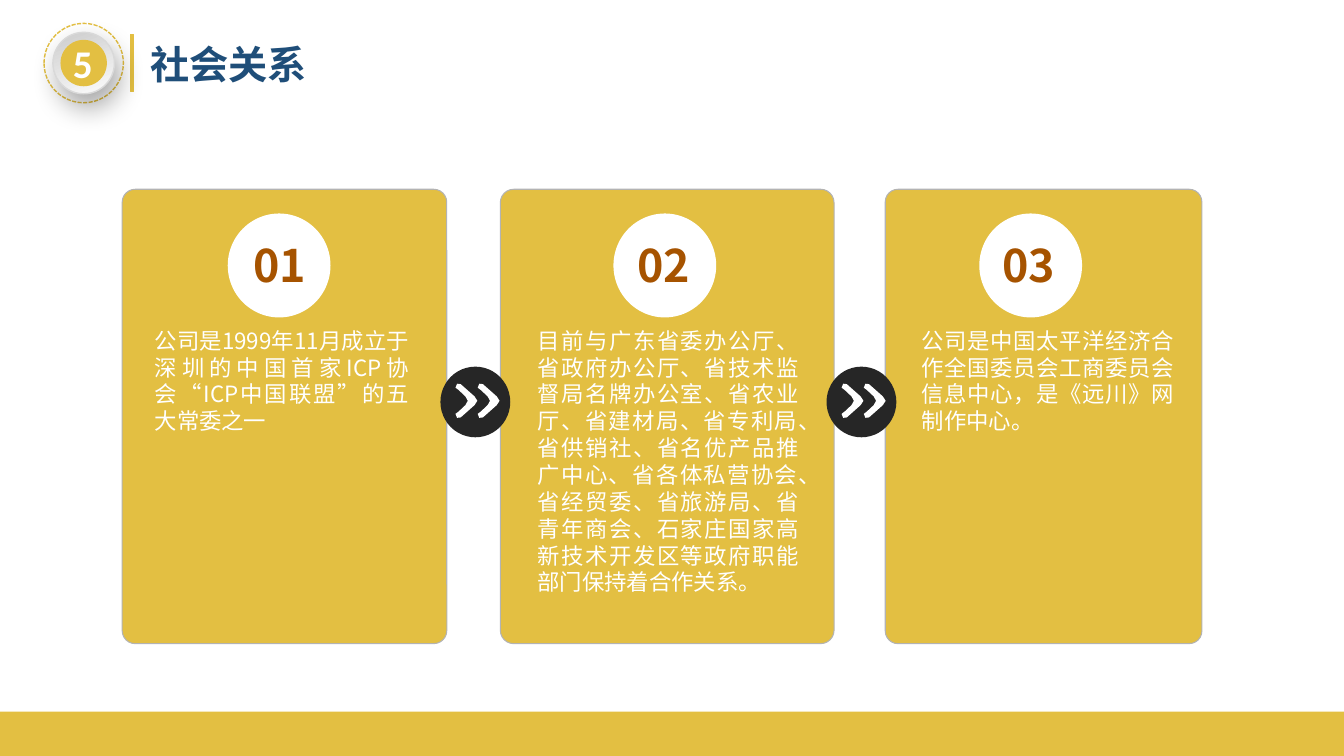
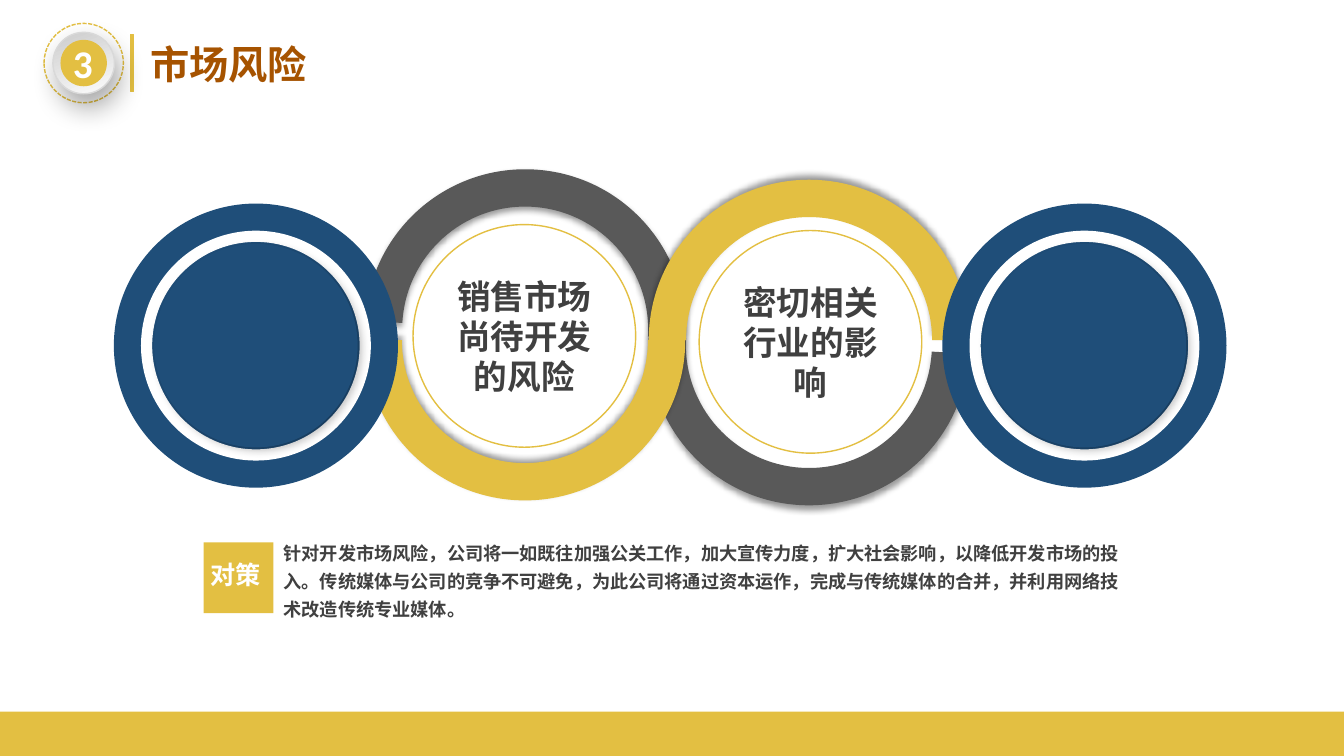
from math import cos, pi, sin

from lxml import etree
from pptx import Presentation, util as u
from pptx.dml.color import RGBColor
from pptx.enum import dml, shapes, text
from pptx.oxml.ns import qn

Cm = u.Cm


class Theme:
    gold, blue, rust = "E3BF42", "1F4E79", "A65300"
    white, ink, black, grey = "FFFFFF", "404040", "262626", "595959"
    rim, hairline = "D9D9D9", "B3B3B3"
    metal = ("CCCCCC", "FCFCFC")
    cjk, latin = "Noto Sans CJK SC", "Calibri"
    heading, number, topic, label, body, note = 28, 32, 24, 18, 16, 13
    leading = 1.19


def paint(shape, fill=None, line=None, width=1, shadow=None):
    """Set fill, outline and shadow (opacity %, blur, distance, direction)."""
    if fill:
        shape.fill.solid()
        shape.fill.fore_color.rgb = RGBColor.from_string(fill)
    else:
        shape.fill.background()
    if line:
        shape.line.color.rgb = RGBColor.from_string(line)
        shape.line.width = u.Pt(width)
    else:
        shape.line.fill.background()
    shape.shadow.inherit = False
    if shadow:
        opacity, blur, distance, direction = shadow
        effects = shape._element.spPr.find(qn("a:effectLst"))
        outer = etree.SubElement(
            effects, qn("a:outerShdw"), blurRad=str(u.Pt(blur)), dist=str(u.Pt(distance)),
            dir=str(direction * 60000), algn="ctr", rotWithShape="0")
        tint = etree.SubElement(outer, qn("a:srgbClr"), val="000000")
        etree.SubElement(tint, qn("a:alpha"), val=str(opacity * 1000))
    return shape


def write(shape, words, size, color, bold=True, font=Theme.cjk, wrap=True,
          align=text.PP_ALIGN.LEFT, anchor=text.MSO_ANCHOR.TOP, leading=None):
    """Fill a shape's text frame with one formatted run."""
    frame = shape.text_frame
    frame.word_wrap = wrap
    frame.auto_size = text.MSO_AUTO_SIZE.NONE
    frame.vertical_anchor = anchor
    paragraph = frame.paragraphs[0]
    paragraph.alignment = align
    paragraph.line_spacing = u.Pt(leading or round(size * Theme.leading, 1))
    run = paragraph.add_run()
    run.text = words
    run.font.size = u.Pt(size)
    run.font.bold = bold
    run.font.color.rgb = RGBColor.from_string(color)
    run.font.name = font
    properties = run._r.get_or_add_rPr()
    properties.set("lang", "zh-CN")
    etree.SubElement(properties, qn("a:ea"), typeface=font)
    return frame


OVAL = shapes.MSO_SHAPE.OVAL
RECTANGLE = shapes.MSO_SHAPE.RECTANGLE
ROUNDED = shapes.MSO_SHAPE.ROUNDED_RECTANGLE
CENTER, MIDDLE = text.PP_ALIGN.CENTER, text.MSO_ANCHOR.MIDDLE

prs = Presentation()
prs.slide_width, prs.slide_height = Cm(33.87), Cm(19.05)

# Shared frame: title, numbered badge, bottom band
pages = []
for section, heading, heading_color in (("5", "社会关系", Theme.blue),
                                        ("3", "市场风险", Theme.rust)):
    slide = prs.slides.add_slide(prs.slide_layouts[5])
    canvas = slide.shapes
    pages.append(canvas)

    title = canvas.title
    title.left, title.top, title.width, title.height = Cm(3.54), Cm(0.89), Cm(4.5), Cm(1.45)
    write(title, heading, Theme.heading, heading_color, wrap=False)

    paint(canvas.add_shape(RECTANGLE, 0, Cm(17.93), prs.slide_width, Cm(1.12)), Theme.gold)
    paint(canvas.add_shape(RECTANGLE, Cm(3.29), Cm(0.87), Cm(0.08), Cm(1.44)),
          Theme.gold, Theme.gold)

    dashes, knob, core = [
        canvas.add_shape(OVAL, Cm(2.11 - d / 2), Cm(1.59 - d / 2), Cm(d), Cm(d))
        for d in (2, 1.55, 1.17)]
    paint(dashes, line=Theme.gold).line.dash_style = dml.MSO_LINE.SQUARE_DOT
    paint(knob, Theme.white, Theme.rim, shadow=(34, 20, 10, 70))
    knob.fill.gradient()
    knob.fill.gradient_angle = 290
    for stop, shade in zip(knob.fill.gradient_stops, Theme.metal):
        stop.color.rgb = RGBColor.from_string(shade)
    paint(core, Theme.gold)
    section_number = canvas.add_textbox(Cm(1.59), Cm(0.88), Cm(1.02), Cm(1.45))
    write(section_number, section, Theme.heading, Theme.white, font=Theme.latin, wrap=False)

relations, risks = pages

# Relations: three cards (card left and width, disc, number and text left, text width)
cards = (
    (3.08, 8.18, 5.74, 6.14, 3.65, 6.91,
     "公司是1999年11月成立于深圳的中国首家ICP协会“ICP中国联盟”的五大常委之一"),
    (12.61, 8.41, 15.46, 15.81, 13.3, 7.09,
     "目前与广东省委办公厅、省政府办公厅、省技术监督局名牌办公室、省农业厅、省建材局、"
     "省专利局、省供销社、省名优产品推广中心、省各体私营协会、省经贸委、省旅游局、"
     "省青年商会、石家庄国家高新技术开发区等政府职能部门保持着合作关系。"),
    (22.31, 7.98, 24.68, 25.01, 22.98, 6.86,
     "公司是中国太平洋经济合作全国委员会工商委员会信息中心，是《远川》网制作中心。"),
)
for order, (left, width, disc_left, number_left, text_left, text_width, words) in enumerate(cards, 1):
    card = relations.add_shape(ROUNDED, Cm(left), Cm(4.77), Cm(width), Cm(11.45))
    card.adjustments[0] = 0.04
    paint(card, Theme.gold, Theme.hairline, 0)
    paint(relations.add_shape(OVAL, Cm(disc_left), Cm(5.38), Cm(2.59), Cm(2.62)), Theme.white)
    number = relations.add_textbox(Cm(number_left), Cm(5.87), Cm(1.93), Cm(1.63))
    write(number, f"{order:02}", Theme.number, Theme.rust, wrap=False)
    story = relations.add_textbox(Cm(text_left), Cm(8.11), Cm(text_width), Cm(7.1))
    write(story, words, Theme.body, Theme.white, bold=False, align=text.PP_ALIGN.JUSTIFY,
          leading=19.2)

# Relations: double-chevron buttons between the cards
upper = [(0.31, 0), (0.25, -0.11), (0.08, -0.27), (0, -0.33), (0.04, -0.43),
         (0.13, -0.42), (0.3, -0.27), (0.48, -0.11), (0.55, 0)]
chevron = upper + [(x, -y) for x, y in upper[-2:0:-1]]
for button_left in (11.1, 20.83):
    paint(relations.add_shape(OVAL, Cm(button_left), Cm(9.24), Cm(1.76), Cm(1.78)), Theme.black)
    for offset in (0.38, 0.94):
        points = [(Cm(button_left + offset + x), Cm(10.1 + y)) for x, y in chevron]
        outline = relations.build_freeform(*points[0])
        outline.add_line_segments(points[1:], close=True)
        paint(outline.convert_to_shape(), Theme.white)

# Risks: two topic circles, each followed by an S-shaped ribbon of quarter arcs
middle, half_gap, outer, inner = 16.81, 3.58, 4.04, 3.1
handle = 0.5523
topics = (
    (13.22, 8.47, "销售市场尚待开发的风险", Theme.grey, 8.5, 1, 3.1, 90),
    (20.43, 8.62, "密切相关行业的影响", Theme.gold, 8.57, -1, 0, 270),
)
for x, y, words, color, ribbon_y, side, tilt, direction in topics:
    circle = risks.add_shape(OVAL, Cm(x - 2.81), Cm(y - 2.81), Cm(5.61), Cm(5.61))
    paint(circle, line=Theme.gold)
    frame = write(circle, words, Theme.topic, Theme.ink, align=CENTER, anchor=MIDDLE)
    frame.margin_left = frame.margin_right = frame.margin_top = frame.margin_bottom = 0

    points, bends = [], []
    for center, radius, bend, start, turn in (
            (middle + half_gap, outer, side, pi, -1), (middle + half_gap, inner, side, 0, 1),
            (middle - half_gap, outer, -side, 0, 1), (middle - half_gap, inner, -side, pi, -1)):
        for quarter in range(3):
            angle = start + turn * quarter * pi / 2
            anchor_point, ahead, behind = [
                (Cm(center + radius * (cos(angle) - pull * sin(angle))),
                 Cm(ribbon_y + bend * radius * (sin(angle) + pull * cos(angle))))
                for pull in (0, handle * turn, -handle * turn)]
            bends.append((leaving, behind) if quarter else None)
            points.append(anchor_point)
            leaving = ahead
    outline = risks.build_freeform(*points[0])
    outline.add_line_segments(points[1:], close=True)
    ribbon = paint(outline.convert_to_shape(), color, shadow=(40, 4, 3, direction))
    for segment, controls in zip(list(ribbon._element.iter(qn("a:lnTo"))), bends[1:]):
        if controls:
            segment.tag = qn("a:cubicBezTo")
            for place, (cx, cy) in enumerate(controls):
                segment.insert(place, etree.Element(
                    qn("a:pt"), x=str(cx - ribbon.left), y=str(cy - ribbon.top)))
    ribbon.rotation = tilt

# Risks: blue discs at both ends
for x in (6.45, 27.33):
    for diameter, line, shadow in ((7.16, None, None), (5.51, Theme.white, None),
                                   (5.13, None, (23, 6, 3, 45))):
        disc = risks.add_shape(OVAL, Cm(x - diameter / 2), Cm(8.71 - diameter / 2),
                               Cm(diameter), Cm(diameter))
        paint(disc, Theme.blue, line, 8, shadow)

# Risks: countermeasure
tag = paint(risks.add_shape(RECTANGLE, Cm(5.13), Cm(13.67), Cm(1.76), Cm(1.78)), Theme.gold)
frame = write(tag, "对策", Theme.label, Theme.white, wrap=False, anchor=MIDDLE)
frame.margin_left, frame.margin_right, frame.margin_bottom = Cm(0.18), 0, Cm(0.28)
measure = risks.add_textbox(Cm(6.9), Cm(13.39), Cm(21.95), Cm(2.34))
write(measure,
      "针对开发市场风险，公司将一如既往加强公关工作，加大宣传力度，扩大社会影响，"
      "以降低开发市场的投入。传统媒体与公司的竞争不可避免，为此公司将通过资本运作，"
      "完成与传统媒体的合并，并利用网络技术改造传统专业媒体。",
      Theme.note, Theme.ink, leading=20)

prs.save("out.pptx")
